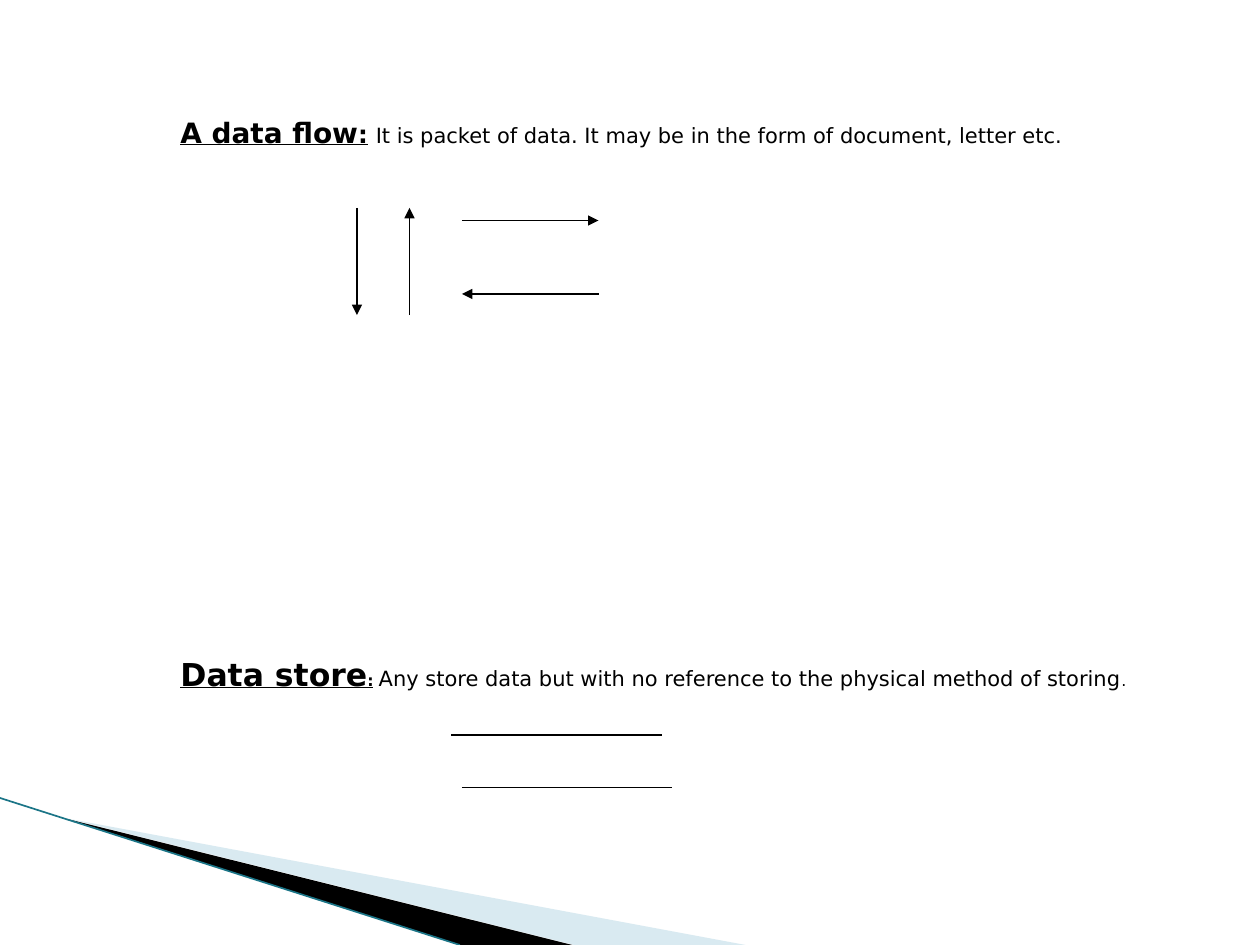
"""Builds a slide that explains the data flow and data store symbols."""
from lxml.etree import SubElement
from pptx import Presentation
from pptx.dml.color import RGBColor
from pptx.enum.shapes import MSO_CONNECTOR as Connector
from pptx.enum.text import MSO_ANCHOR as Anchor
from pptx.oxml.ns import qn
from pptx.util import Inches, Pt

COLORS = {"ink": "000000", "mist": "A0CBDC", "teal": "1B7587"}
FONT = "DejaVu Sans"
COLUMNS, ROWS = 120, 90


class SymbolPage:
    def __init__(self, deck):
        self.page = deck.slides.add_slide(deck.slide_layouts[6])
        self.column = deck.slide_width / COLUMNS
        self.row = deck.slide_height / ROWS

    def place(self, column, row):
        return round(column * self.column), round(row * self.row)

    def color(self, name):
        return RGBColor.from_string(COLORS[name])

    def wedge(self, points, fill, opacity=100):
        corners = [self.place(*point) for point in points]
        builder = self.page.shapes.build_freeform(*corners[0])
        builder.add_line_segments(corners[1:], close=True)
        shape = builder.convert_to_shape()
        shape.shadow.inherit = False
        shape.line.fill.background()
        shape.fill.solid()
        shape.fill.fore_color.rgb = self.color(fill)
        if opacity < 100:
            tint = shape.fill._xPr.find(qn("a:solidFill"))[0]
            SubElement(tint, qn("a:alpha"), val=str(opacity * 1000))

    def line(self, start, end, color="ink", width=0.75, arrow=False):
        line = self.page.shapes.add_connector(
            Connector.STRAIGHT, *self.place(*start), *self.place(*end))
        line.line.color.rgb = self.color(color)
        line.line.width = Pt(width)
        if arrow:
            SubElement(line.line._get_or_add_ln(), qn("a:tailEnd"), type="triangle")
        SubElement(line._element.spPr, qn("a:effectLst"))

    def definitions(self, corner, size, entries, gap):
        box = self.page.shapes.add_textbox(*self.place(*corner), *self.place(*size))
        frame = box.text_frame
        frame.word_wrap = False
        frame.vertical_anchor = Anchor.TOP
        for index, spans in enumerate(entries):
            para = frame.add_paragraph() if index else frame.paragraphs[0]
            para.space_before = Pt(gap if index else 0)
            for text, points, is_term in spans:
                span = para.add_run()
                span.text = text
                span.font.name = FONT
                span.font.size = Pt(points)
                span.font.bold = span.font.underline = is_term
                span.font.color.rgb = self.color("ink")


def main():
    deck = Presentation()
    deck.slide_width, deck.slide_height = Inches(10), Inches(7.5)
    page = SymbolPage(deck)

    page.wedge([(6.6, 78), (71, 90), (54.7, 90)], "mist", 40)
    page.wedge([(6.4, 78), (54.5, 90), (43.8, 90)], "ink")
    page.line((0, 76), (43.8, 90), "teal", 0.95)

    page.definitions((16, 10.4), (93.8, 62), [
        [("A data flow", 16, True), (":", 14, True), (" ", 14, False),
         ("It is packet of data. It may be in the form of document, letter etc.", 12, False)],
        [("Data store", 18, True), (":", 9, True), (" ", 9, False),
         ("Any store data but with no reference to the physical method of storing", 12, False),
         (".", 9, False)],
    ], gap=289)

    top, bottom, left, right = 19.8, 30, 44, 57
    for start, end in [((34, top), (34, bottom)), ((39, bottom), (39, top)),
                       ((left, 21), (right, 21)), ((right, 28), (left, 28))]:
        page.line(start, end, arrow=True)
    for column, row in [(43, 70), (44, 75)]:
        page.line((column, row), (column + 20, row))

    deck.save("out.pptx")


if __name__ == "__main__":
    main()
